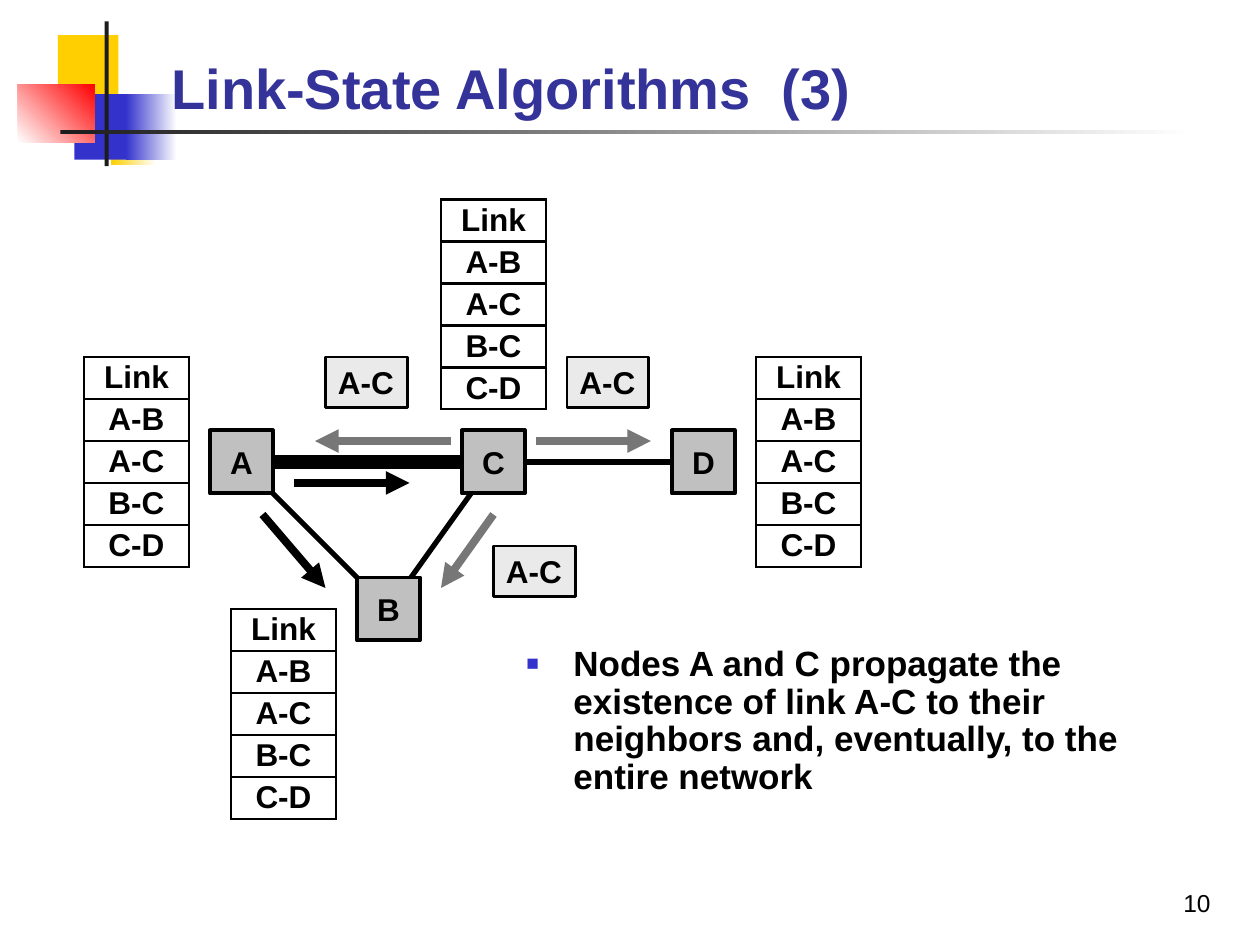
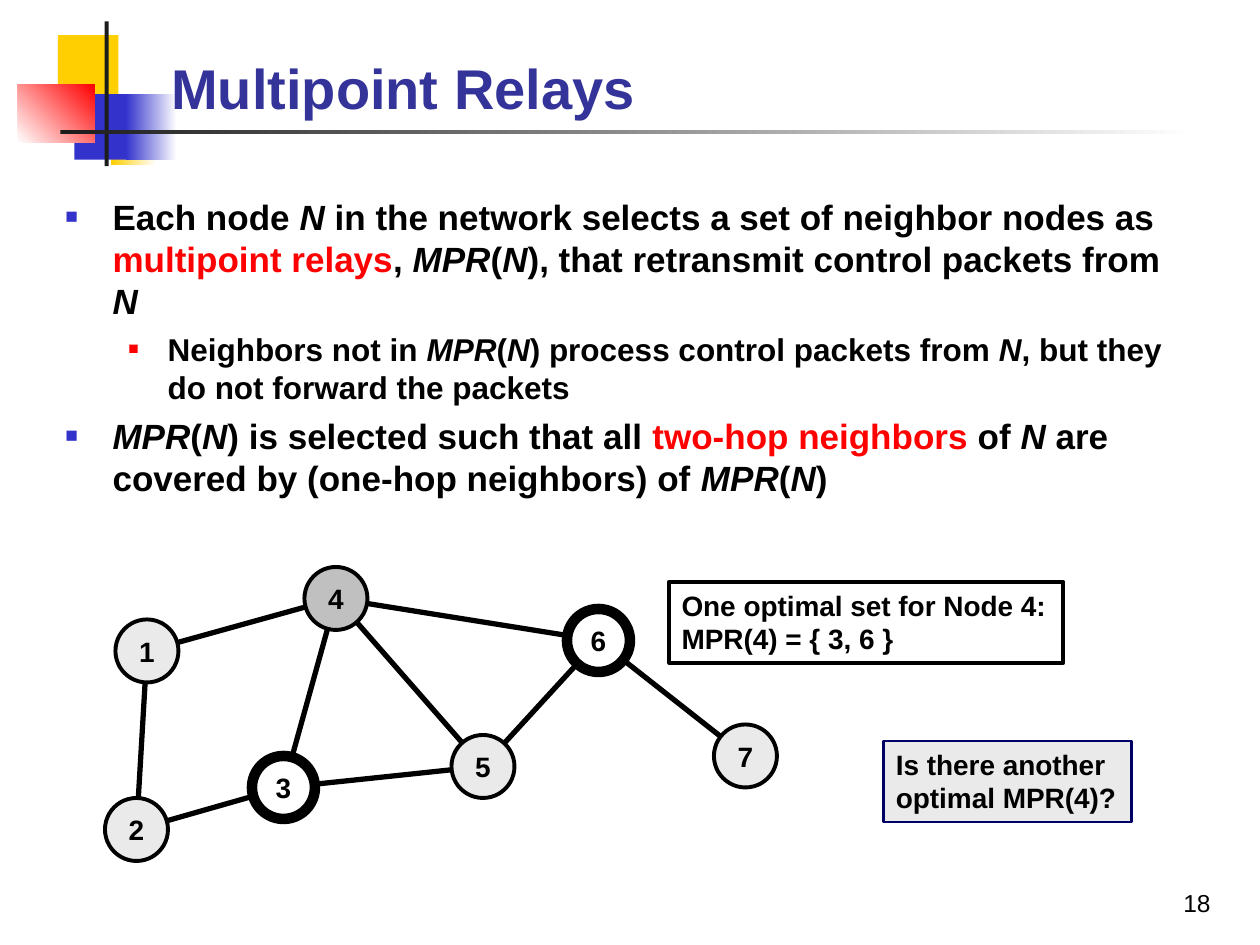
from itertools import starmap
from typing import NamedTuple

from lxml import etree
from pptx import Presentation, util as u
from pptx.dml.color import RGBColor
from pptx.enum import shapes, text
from pptx.oxml import ns

FONT = "Arial"
COLORS = {
    "title": "333399", "blue": "3333CC", "yellow": "FFCF01", "red": "FF0000",
    "white": "FFFFFF", "charcoal": "1C1C1C", "black": "000000", "navy": "000066",
    "node": "C0C0C0", "pale": "EAEAEA", "arrow": "777777",
}
NODE_SIZE = 6
LINK_ROWS = ("Link", "A-B", "A-C", "B-C", "C-D")


class Band(NamedTuple):
    left: float
    top: float
    width: float
    height: float
    start: str
    end: str = ""
    angle: int = 0


class Node(NamedTuple):
    name: str
    column: int
    row: int
    fill: str = "node"
    border: float = 2.25

    def center(self) -> tuple[int, int]:
        return self.column + NODE_SIZE // 2, self.row + NODE_SIZE // 2


class Arrow(NamedTuple):
    start: tuple[int, int]
    end: tuple[int, int]
    color: str


class Bullet(NamedTuple):
    text: str
    size: int = 20
    indent: float = 0.95
    hanging: float = 0.95
    color: str = "blue"
    percent: int = 60


class Note(NamedTuple):
    text: str
    left: float
    top: float
    width: float
    height: float
    fill: str = "pale"
    border: str = "black"
    border_width: float = 1.5
    size: int = 16


BANDS = (
    Band(1.17, 0.71, 1.22, 1.32, "yellow"),
    Band(2.24, 2.01, 0.91, 1.32, "yellow", "white"),
    Band(1.5, 1.9, 1.17, 1.32, "blue"),
    Band(2.54, 1.9, 1.02, 1.32, "blue", "white"),
    Band(0.36, 1.7, 1.55, 1.17, "white", "red", 45),
    Band(2.11, 0.43, 0.08, 2.92, "charcoal"),
    Band(1.22, 2.62, 22.86, 0.08, "charcoal", "white"),
)
ROUTERS = (Node("A", 20, 41), Node("B", 34, 55), Node("C", 44, 41), Node("D", 64, 41))
ROUTER_LINKS = (("A", "C", 8), ("B", "C", 3), ("A", "B", 3), ("C", "D", 3))
LINK_TABLES = ((42, 19), (8, 34), (22, 58), (72, 34))
ANNOUNCEMENTS = ((31, 34), (54, 34), (47, 52))
ARROWS = (
    Arrow((43, 42), (30, 42), "arrow"),
    Arrow((47, 49), (42, 56), "arrow"),
    Arrow((51, 42), (62, 42), "arrow"),
    Arrow((28, 46), (39, 46), "black"),
    Arrow((25, 49), (31, 56), "black"),
)
PROPAGATION = (
    Bullet("Nodes A and C propagate the existence of link A-C to their "
           "neighbors and, eventually, to the entire network"),
)
STATIONS = (
    Node("1", 11, 59, "pale"), Node("4", 29, 54), Node("3", 24, 72, "white", 6),
    Node("5", 43, 70, "pale"), Node("2", 10, 76, "pale"),
    Node("6", 54, 58, "white", 6), Node("7", 68, 69, "pale"),
)
STATION_LINKS = tuple(
    (pair[0], pair[1], 3) for pair in ("67", "12", "45", "23", "14", "43", "35", "46", "65")
)
RELAY_RULES = (
    Bullet("Each node *N* in the network selects a set of neighbor nodes as "
           "|multipoint relays|, *MPR*(*N*), that retransmit control packets from *N*"),
    Bullet("Neighbors not in *MPR*(*N*) process control packets from *N*, "
           "but they do not forward the packets", 18, 2.06, 0.79, "red", 55),
    Bullet("*MPR*(*N*) is selected such that all |two-hop neighbors |of *N* are "
           "covered by (one-hop neighbors) of *MPR*(*N*)"),
)
RELAY_NOTES = (
    Note("One optimal set for Node 4:\nMPR(4) = { 3, 6 }", 13.49, 11.73, 7.95, 1.63, "",
         border_width=2.25),
    Note("Is there another\noptimal MPR(4)?", 17.81, 14.94, 5, 1.63, border="navy"),
)


def rgb(name: str) -> RGBColor:
    return RGBColor.from_string(COLORS[name])


def grid(twelfths: float) -> u.Length:
    return u.Cm(twelfths * 2.54 / 12)


def write(frame, content: str, *, size: float, color: str = "black", bold: bool = True,
          align=text.PP_ALIGN.LEFT, bullet: Bullet | None = None,
          line_spacing: float | None = None, space_before: float = 0) -> None:
    paragraph = frame.add_paragraph() if frame.text else frame.paragraphs[0]
    if bullet:
        add_bullet(paragraph, bullet)
    paragraph.alignment = align
    paragraph.space_before = u.Pt(space_before)
    if line_spacing:
        paragraph.line_spacing = line_spacing
    for line_index, line in enumerate(content.split("\n")):
        if line_index:
            paragraph.add_line_break()
        for part_index, part in enumerate(line.split("|")):
            for piece_index, piece in enumerate(part.split("*")):
                if not piece:
                    continue
                run = paragraph.add_run()
                run.text = piece
                run.font.name, run.font.size, run.font.bold = FONT, u.Pt(size), bold
                run.font.italic = piece_index % 2 == 1
                run.font.color.rgb = rgb("red" if part_index % 2 else color)


def add_bullet(paragraph, bullet: Bullet) -> None:
    properties = paragraph._p.get_or_add_pPr()
    properties.set("marL", str(u.Cm(bullet.indent)))
    properties.set("indent", str(-u.Cm(bullet.hanging)))
    color = etree.SubElement(properties, ns.qn("a:buClr"))
    etree.SubElement(color, ns.qn("a:srgbClr"), val=COLORS[bullet.color])
    etree.SubElement(properties, ns.qn("a:buSzPct"), val=str(bullet.percent * 1000))
    etree.SubElement(properties, ns.qn("a:buFont"), typeface=FONT)
    etree.SubElement(properties, ns.qn("a:buChar"), char="■")


def draw_shape(slide, kind, left, top, width, height, *, fill: str = "",
               border: str = "", border_width: float = 0):
    shape = slide.shapes.add_shape(kind, left, top, width, height)
    shape.shadow.inherit = False
    if fill:
        shape.fill.solid()
        shape.fill.fore_color.rgb = rgb(fill)
    else:
        shape.fill.background()
    if border:
        shape.line.color.rgb = rgb(border)
        shape.line.width = u.Pt(border_width)
    else:
        shape.line.fill.background()
    shape.text_frame.word_wrap = False
    return shape


def draw_band(slide, band: Band):
    shape = draw_shape(slide, shapes.MSO_SHAPE.RECTANGLE, *map(u.Cm, band[:4]), fill=band.start)
    if band.end:
        shape.fill.gradient()
        shape.fill.gradient_angle = band.angle
        for stop, color in zip(shape.fill.gradient_stops, (band.start, band.end)):
            stop.color.rgb = rgb(color)
    return shape


def draw_line(slide, start, end, *, color: str = "black", width: float = 3,
              arrow: bool = False) -> None:
    line = slide.shapes.add_connector(shapes.MSO_CONNECTOR.STRAIGHT, *map(grid, (*start, *end)))
    line.line.color.rgb = rgb(color)
    line.line.width = u.Pt(width)
    if arrow:
        etree.SubElement(line.line._get_or_add_ln(), ns.qn("a:tailEnd"), type="triangle")
    etree.SubElement(line._element.spPr, ns.qn("a:effectLst"))


def draw_network(slide, nodes, links, kind, size: int) -> None:
    centers = {node.name: node.center() for node in nodes}
    for start, end, width in links:
        draw_line(slide, centers[start], centers[end], width=width)
    for node in nodes:
        shape = draw_shape(slide, kind, grid(node.column), grid(node.row), grid(NODE_SIZE),
                           grid(NODE_SIZE), fill=node.fill, border="black",
                           border_width=node.border)
        shape.text_frame.vertical_anchor = text.MSO_ANCHOR.MIDDLE
        write(shape.text_frame, node.name, size=size, align=text.PP_ALIGN.CENTER)


def draw_link_table(slide, column: int, row: int) -> None:
    table = slide.shapes.add_table(len(LINK_ROWS), 1, grid(column), grid(row), grid(10),
                                   grid(4 * len(LINK_ROWS))).table
    table.first_row = table.horz_banding = False
    for index, link in enumerate(LINK_ROWS):
        table.rows[index].height = grid(4)
        cell = table.cell(index, 0)
        cell.margin_top = cell.margin_bottom = 0
        cell.vertical_anchor = text.MSO_ANCHOR.MIDDLE
        for side in ("lnL", "lnR", "lnT", "lnB"):
            border = etree.SubElement(cell._tc.get_or_add_tcPr(), ns.qn(f"a:{side}"),
                                      w=str(u.Pt(1.5)))
            paint = etree.SubElement(border, ns.qn("a:solidFill"))
            etree.SubElement(paint, ns.qn("a:srgbClr"), val=COLORS["black"])
        cell.fill.solid()
        cell.fill.fore_color.rgb = rgb("white")
        write(cell.text_frame, link, size=18, align=text.PP_ALIGN.CENTER)


def draw_note(slide, note: Note) -> None:
    shape = draw_shape(slide, shapes.MSO_SHAPE.RECTANGLE,
                       *map(u.Cm, (note.left, note.top, note.width, note.height)),
                       fill=note.fill, border=note.border, border_width=note.border_width)
    shape.text_frame.vertical_anchor = text.MSO_ANCHOR.TOP
    write(shape.text_frame, note.text, size=note.size)


def add_text_area(slide, left: float, top: float, width: float, height: float):
    frame = slide.shapes.add_textbox(*map(u.Cm, (left, top, width, height))).text_frame
    frame.word_wrap = True
    return frame


def add_bullets(slide, bullets, left, top, width, height, line_spacing=None) -> None:
    frame = add_text_area(slide, left, top, width, height)
    for index, bullet in enumerate(bullets):
        write(frame, bullet.text, size=bullet.size, bullet=bullet, line_spacing=line_spacing,
              space_before=5 if index else 0)


def add_slide(deck, heading: str, page: int):
    slide = deck.slides.add_slide(deck.slide_layouts[5])
    title = slide.shapes.title
    title.left, title.top, title.width, title.height = map(u.Cm, (3.2, 0.46, 21.64, 2.11))
    title.text_frame.auto_size = text.MSO_AUTO_SIZE.NONE
    title.text_frame.vertical_anchor = text.MSO_ANCHOR.BOTTOM
    write(title.text_frame, heading, size=32, color="title")
    write(add_text_area(slide, 22.86, 17.78, 2.54, 1.27), str(page), size=14, bold=False,
          align=text.PP_ALIGN.CENTER)
    return slide


def share_bands(slide) -> None:
    layout_tree = slide.slide_layout.element.cSld.spTree
    for band in BANDS:
        layout_tree.append(draw_band(slide, band).element)


def build_link_state(deck):
    slide = add_slide(deck, "Link-State Algorithms  (3)", 10)
    share_bands(slide)
    add_bullets(slide, PROPAGATION, 10.36, 12.9, 13.77, 4.24, line_spacing=0.9)
    draw_network(slide, ROUTERS, ROUTER_LINKS, shapes.MSO_SHAPE.RECTANGLE, 18)
    for column, row in LINK_TABLES:
        draw_link_table(slide, column, row)
    for left, top in starmap(lambda column, row: (column * 2.54 / 12, row * 2.54 / 12),
                             ANNOUNCEMENTS):
        draw_note(slide, Note("A-C", left, top, 1.65, 1.02, size=18))
    for arrow in ARROWS:
        draw_line(slide, arrow.start, arrow.end, color=arrow.color, width=4.5, arrow=True)


def build_relays(deck):
    slide = add_slide(deck, "Multipoint Relays", 18)
    add_bullets(slide, RELAY_RULES, 1.07, 3.81, 23.06, 7.42)
    draw_network(slide, STATIONS, STATION_LINKS, shapes.MSO_SHAPE.OVAL, 16)
    for note in RELAY_NOTES:
        draw_note(slide, note)


def main() -> None:
    deck = Presentation()
    deck.slide_width, deck.slide_height = u.Cm(25.4), u.Cm(19.05)
    build_link_state(deck)
    build_relays(deck)
    deck.save("out.pptx")


if __name__ == "__main__":
    main()
